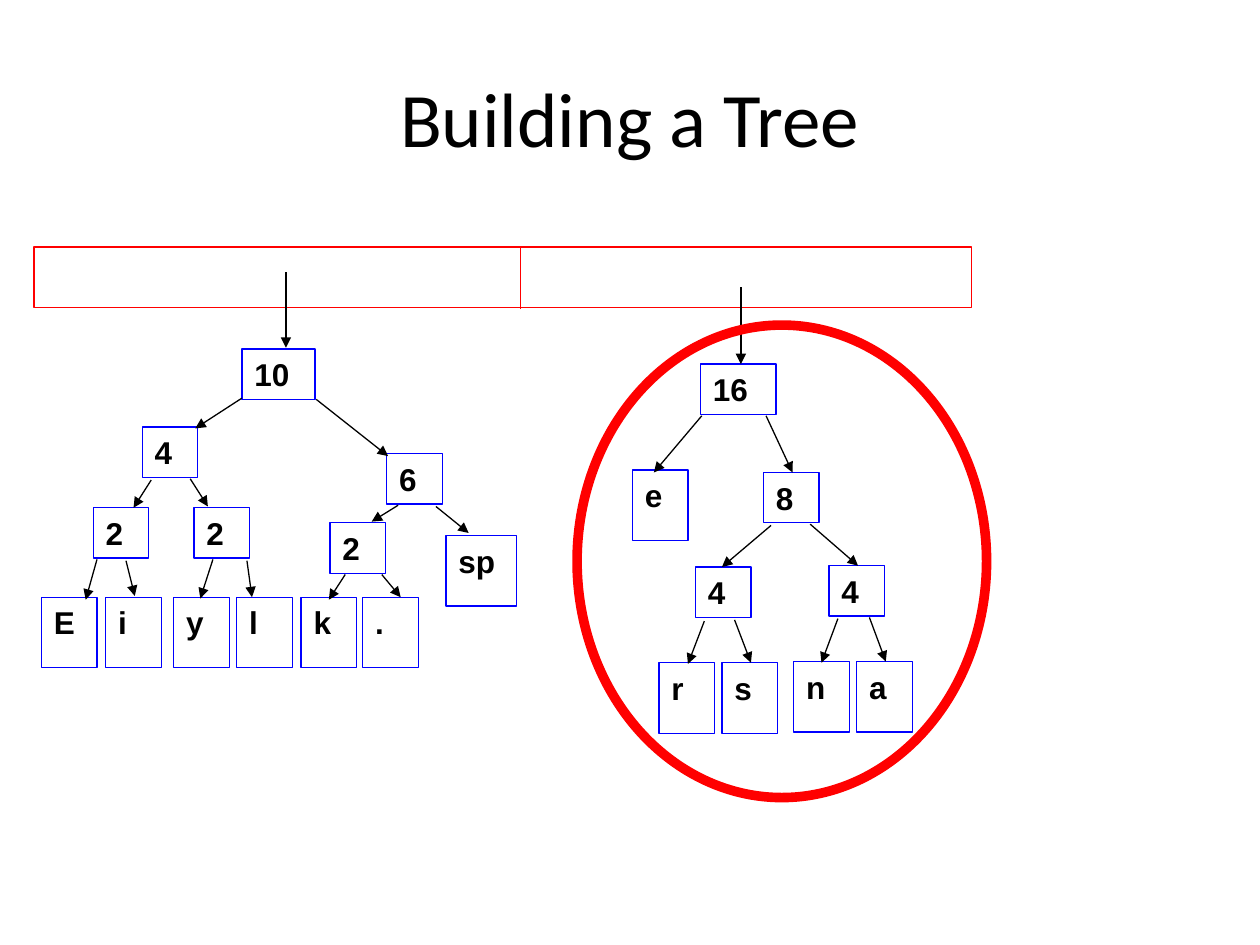
from lxml import etree
from pptx import Presentation
from pptx import util as u
from pptx.dml import color
from pptx.enum import shapes, text
from pptx.oxml import ns

SCALE = 9144
COLORS = {"ink": "000000", "paper": "FFFFFF", "node": "0000FF", "accent": "FF0000"}
NODE_WIDTH, NODE_HEIGHT, LEAF_HEIGHT = 44, 40, 56

LEAVES = [
    ("E", 33, 474), ("i", 84, 474), ("y", 138, 474), ("l", 188, 474),
    ("k", 239, 474), (".", 288, 474), ("e", 502, 373),
    ("r", 523, 526), ("s", 573, 526), ("n", 630, 525), ("a", 680, 525),
]
SUMS = [
    ("2", 74, 403), ("2", 154, 403), ("2", 262, 415), ("4", 113, 339),
    ("6", 307, 360), ("4", 552, 450), ("4", 658, 449), ("8", 606, 375),
]
WIDE_NODES = [
    ("10", 192, 277, 58, NODE_HEIGHT),
    ("16", 556, 289, 60, NODE_HEIGHT),
    ("sp", 354, 425, 56, LEAF_HEIGHT),
]
QUEUE_ARROWS = [(227, 216, 227, 276), (588, 228, 588, 289)]
LEFT_TREE_ARROWS = [
    (192, 316, 155, 340), (251, 317, 308, 362),
    (120, 381, 106, 403), (151, 380, 165, 402),
    (316, 401, 295, 414), (346, 402, 372, 423),
    (77, 444, 68, 476), (100, 445, 107, 473),
    (169, 444, 159, 475), (196, 445, 200, 474),
    (274, 456, 261, 476), (303, 456, 318, 474),
]
RIGHT_TREE_ARROWS = [
    (557, 330, 519, 375), (608, 330, 629, 375),
    (612, 417, 573, 450), (643, 416, 681, 449),
    (559, 493, 546, 527), (583, 492, 596, 526),
    (665, 491, 652, 526), (690, 490, 703, 525),
]


class TreeSlide:
    def __init__(self, presentation):
        self.slide = presentation.slides.add_slide(presentation.slide_layouts[5])

    def px(self, *lengths):
        return [u.Emu(length * SCALE) for length in lengths]

    def rgb(self, name):
        return color.RGBColor.from_string(COLORS[name])

    def add_text(self, paragraph, words, font_name, size, bold=False):
        run = paragraph.add_run()
        run.text = words
        run.font.name = font_name
        run.font.size = u.Pt(size)
        run.font.bold = bold
        run.font.color.rgb = self.rgb("ink")

    def title(self, words, left, top, width, height):
        shape = self.slide.shapes.title
        shape.left, shape.top, shape.width, shape.height = self.px(left, top, width, height)
        shape.text_frame.vertical_anchor = text.MSO_ANCHOR.MIDDLE
        paragraph = shape.text_frame.paragraphs[0]
        paragraph.alignment = text.PP_ALIGN.CENTER
        self.add_text(paragraph, words, "Calibri", 44)

    def outline(self, kind, left, top, width, height, line, weight=0.75, fill=None):
        shape = self.slide.shapes.add_shape(kind, *self.px(left, top, width, height))
        shape.shadow.inherit = False
        if fill:
            shape.fill.solid()
            shape.fill.fore_color.rgb = self.rgb(fill)
        else:
            shape.fill.background()
        shape.line.color.rgb = self.rgb(line)
        shape.line.width = u.Pt(weight)
        return shape

    def node(self, label, left, top, width, height):
        shape = self.outline(shapes.MSO_SHAPE.RECTANGLE, left, top, width, height, "node")
        frame = shape.text_frame
        frame.word_wrap = True
        frame.vertical_anchor = text.MSO_ANCHOR.TOP
        paragraph = frame.paragraphs[0]
        paragraph.alignment = text.PP_ALIGN.LEFT
        self.add_text(paragraph, label, "Arial", 18, bold=True)

    def line(self, x1, y1, x2, y2, name="ink", arrow=False):
        connector = self.slide.shapes.add_connector(
            shapes.MSO_CONNECTOR.STRAIGHT, *self.px(x1, y1, x2, y2))
        connector.line.color.rgb = self.rgb(name)
        connector.line.width = u.Pt(0.75)
        properties = connector.element.spPr
        if arrow:
            etree.SubElement(properties.find(ns.qn("a:ln")), ns.qn("a:tailEnd"), type="triangle")
        etree.SubElement(properties, ns.qn("a:effectLst"))


def main():
    presentation = Presentation()
    presentation.slide_width, presentation.slide_height = u.Inches(10), u.Inches(7.5)
    tree = TreeSlide(presentation)
    tree.title("Building a Tree", 50, 30, 900, 125)
    tree.outline(shapes.MSO_SHAPE.RECTANGLE, 27, 196, 744, 48, "accent", fill="paper")
    tree.line(413, 197, 413, 245, "accent")
    for label, left, top in LEAVES:
        tree.node(label, left, top, NODE_WIDTH, LEAF_HEIGHT)
    for label, left, top in SUMS:
        tree.node(label, left, top, NODE_WIDTH, NODE_HEIGHT)
    for node in WIDE_NODES:
        tree.node(*node)
    for ends in QUEUE_ARROWS + LEFT_TREE_ARROWS + RIGHT_TREE_ARROWS:
        tree.line(*ends, arrow=True)
    tree.outline(shapes.MSO_SHAPE.OVAL, 458, 258, 325, 375, "accent", weight=5.5)
    presentation.save("out.pptx")


if __name__ == "__main__":
    main()
